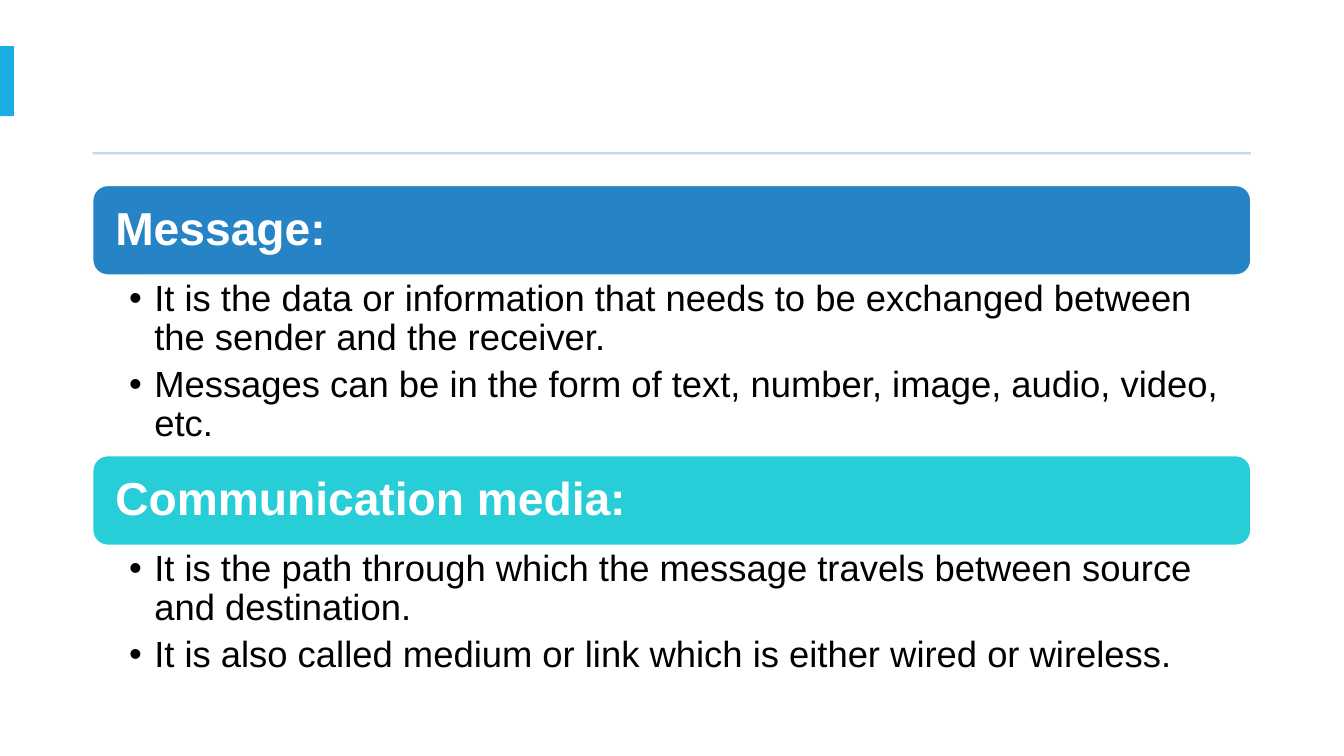
from lxml.etree import SubElement
from pptx import Presentation
from pptx.dml.color import RGBColor
from pptx.enum.shapes import MSO_SHAPE as SHAPE
from pptx.enum.text import MSO_ANCHOR as ANCHOR, PP_ALIGN as ALIGN
from pptx.oxml.ns import qn
from pptx.util import Pt

COLORS = {"white": "FFFFFF", "black": "000000", "accent": "1CADE4",
          "rule": "C3D8E5", "blue": "2683C6", "teal": "27CED7"}

# heading, bar colour, height of the bullet area, bullets
SECTIONS = [
    ("Message:", "blue", 129, [
        "It is the data or information that needs to be exchanged between the sender and the receiver.",
        "Messages can be in the form of text, number, image, audio, video, etc.",
    ]),
    ("Communication media:", "teal", 99.5, [
        "It is the path through which the message travels between source and destination.",
        "It is also called medium or link which is either wired or wireless.",
    ]),
]

LEFT, WIDTH = 66.25, 827.25
TOP, BAR_HEIGHT = 132.5, 64
INDENT = 18


def rgb(name):
    return RGBColor.from_string(COLORS[name])


def add_block(slide, kind, left, top, width, height, fill, line=None):
    sp = slide.shapes.add_shape(kind, Pt(left), Pt(top), Pt(width), Pt(height))
    sp.shadow.inherit = False
    sp.fill.solid()
    sp.fill.fore_color.rgb = rgb(fill)
    if line:
        sp.line.color.rgb = rgb(line)
        sp.line.width = Pt(1)
    else:
        sp.line.fill.background()
    return sp


def write(sp, lines, size, color, bold=False, bullet=None, space_after=0,
          anchor=ANCHOR.TOP, insets=(0, 0, 0, 0)):
    """Fill a shape with paragraphs; insets are left, top, right, bottom."""
    tf = sp.text_frame
    tf.word_wrap = True
    tf.vertical_anchor = anchor
    tf.margin_left, tf.margin_top, tf.margin_right, tf.margin_bottom = map(Pt, insets)
    for i, text in enumerate(lines):
        p = tf.add_paragraph() if i else tf.paragraphs[0]
        p.alignment = ALIGN.LEFT
        p.line_spacing = 0.9
        p.space_after = Pt(space_after)
        if bullet:
            pPr = p._p.get_or_add_pPr()
            pPr.set("marL", str(Pt(INDENT)))
            pPr.set("indent", str(-Pt(INDENT)))
            SubElement(pPr, qn("a:buFont"), typeface="Arial")
            SubElement(pPr, qn("a:buChar"), char=bullet)
        r = p.add_run()
        r.text = text
        r.font.name = "Arial"
        r.font.size = Pt(size)
        r.font.bold = bold
        r.font.color.rgb = rgb(color)


def main():
    prs = Presentation()
    prs.slide_width, prs.slide_height = Pt(960), Pt(540)
    slide = prs.slides.add_slide(prs.slide_layouts[6])

    add_block(slide, SHAPE.RECTANGLE, 0, 33, 10, 50, "accent")
    add_block(slide, SHAPE.RECTANGLE, LEFT, 108.75, WIDTH, 1.5, "rule")

    top = TOP
    for heading, color, body_height, bullets in SECTIONS:
        bar = add_block(slide, SHAPE.ROUNDED_RECTANGLE, LEFT, top, WIDTH, BAR_HEIGHT,
                        color, line="white")
        write(bar, [heading], 33, "white", bold=True, anchor=ANCHOR.MIDDLE,
              insets=(13, 10, 13, 10))
        top += BAR_HEIGHT
        body = slide.shapes.add_textbox(Pt(LEFT), Pt(top), Pt(WIDTH), Pt(body_height))
        write(body, bullets, 26, "black", bullet="•", space_after=5.5,
              insets=(26, 3.5, 18.5, 3.5))
        top += body_height

    prs.save("out.pptx")


if __name__ == "__main__":
    main()
